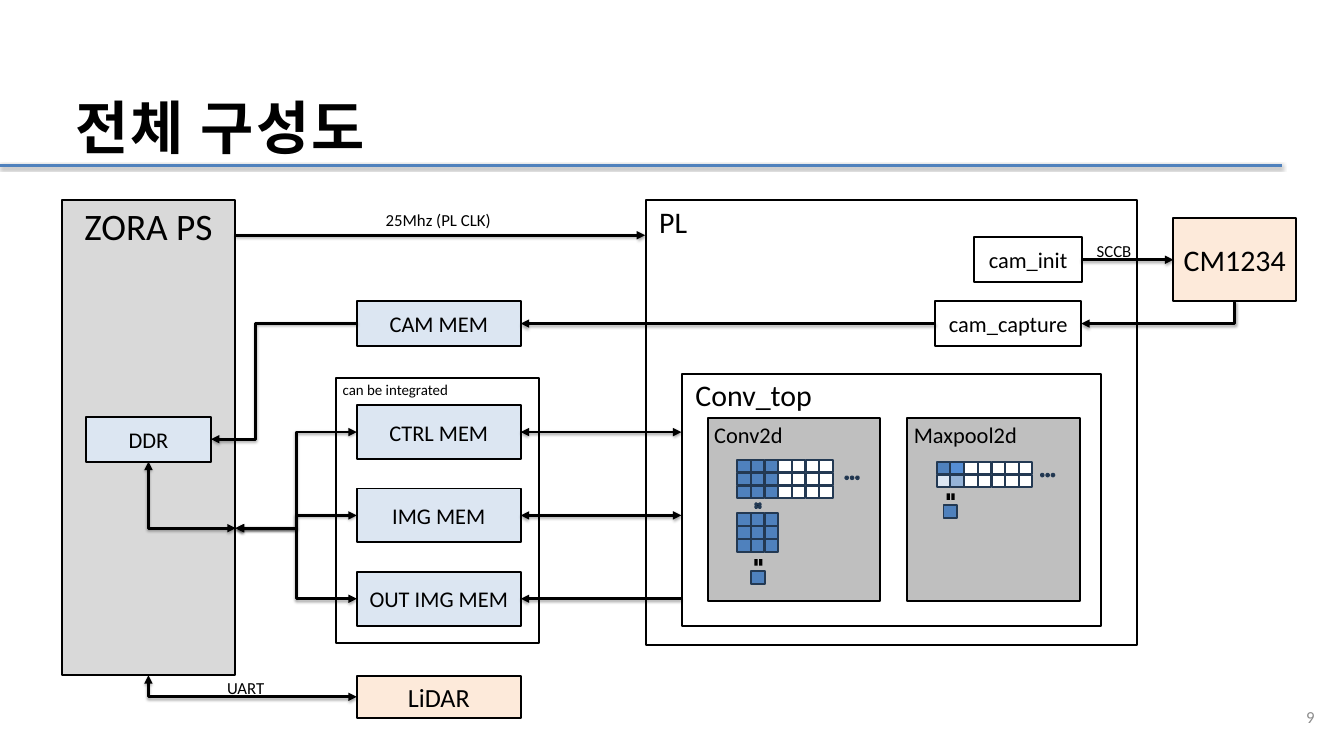
from dataclasses import dataclass

from lxml.etree import SubElement
from pptx import Presentation
from pptx.dml.color import RGBColor
from pptx.enum.shapes import MSO_CONNECTOR, MSO_SHAPE
from pptx.enum.text import MSO_ANCHOR, PP_ALIGN
from pptx.oxml.ns import qn
from pptx.util import Inches, Pt

TOP, LEFT, BOTTOM, RIGHT = range(4)  # connection sites of a rectangle


@dataclass(frozen=True)
class Theme:
    font: str = "Calibri"
    title_font: str = "Arial"
    black: str = "000000"
    white: str = "FFFFFF"
    muted: str = "8C8C8C"
    accent: str = "4F81BD"
    cell_line: str = "233953"
    processor: str = "D9D9D9"
    layer: str = "BFBFBF"
    memory: str = "DCE6F2"
    device: str = "FDEADA"
    pool_blue: str = "558ED5"
    pool_light: str = "95B3D7"
    title_size: int = 62
    huge: int = 40
    large: int = 32
    medium: int = 28
    body: int = 24
    label: int = 18
    note: int = 16
    outline: int = 2
    wire: int = 3


def color(value):
    return RGBColor.from_string(value)


def write_text(frame, text, size, font=Theme.font, fill=Theme.black, bold=False,
               align=PP_ALIGN.LEFT, anchor=MSO_ANCHOR.TOP, wrap=True):
    frame.word_wrap = wrap
    frame.vertical_anchor = anchor
    paragraph = frame.paragraphs[0]
    paragraph.alignment = align
    run = paragraph.add_run()
    run.text = text
    run.font.name = font
    run.font.size = Pt(size)
    run.font.bold = bold
    run.font.color.rgb = color(fill)
    return paragraph


class DiagramBuilder:
    def __init__(self, slide, theme):
        self.slide = slide
        self.theme = theme

    def title(self, text, left, top, width, height):
        shape = self.slide.shapes.title
        shape.left, shape.top = Inches(left), Inches(top)
        shape.width, shape.height = Inches(width), Inches(height)
        frame = shape.text_frame
        frame.margin_left = frame.margin_right = 0
        frame.margin_top = frame.margin_bottom = 0
        paragraph = write_text(frame, text, self.theme.title_size,
                               font=self.theme.title_font, bold=True)
        paragraph.line_spacing = Pt(86.9)
        paragraph.runs[0].font._element.set("spc", "220")

    def label(self, text, left, top, width, height=0.4, **text_format):
        box = self.slide.shapes.add_textbox(
            Inches(left), Inches(top), Inches(width), Inches(height))
        write_text(box.text_frame, text, self.theme.label, **text_format)

    def shape(self, left, top, width, height, fill=None, line=Theme.black,
              kind=MSO_SHAPE.RECTANGLE, parent=None):
        shape = (parent or self.slide).shapes.add_shape(
            kind, Inches(left), Inches(top), Inches(width), Inches(height))
        shape.shadow.inherit = False
        if fill:
            shape.fill.solid()
            shape.fill.fore_color.rgb = color(fill)
        else:
            shape.fill.background()
        if line:
            shape.line.color.rgb = color(line)
            shape.line.width = Pt(self.theme.outline)
        else:
            shape.line.fill.background()
        return shape

    def panel(self, text, size, left, top, width, height, fill=None, align=PP_ALIGN.LEFT):
        shape = self.shape(left, top, width, height, fill)
        write_text(shape.text_frame, text, size, align=align)
        return shape

    def block(self, text, left, top, width, height, fill=None, size=Theme.body):
        shape = self.shape(left, top, width, height, fill)
        write_text(shape.text_frame, text, size, align=PP_ALIGN.CENTER,
                   anchor=MSO_ANCHOR.MIDDLE)
        return shape

    def cells(self, parent, left, top, rows):
        """Draw a grid of cells, one fill colour per cell."""
        for row, fills in enumerate(rows):
            for column, fill in enumerate(fills):
                self.shape(left + 0.204 * column, top + 0.193 * row, 0.2, 0.19,
                           fill, self.theme.cell_line, parent=parent)

    def dots(self, parent, left, top):
        for index in range(3):
            self.shape(left + 0.08 * index, top, 0.04, 0.04, self.theme.black,
                       self.theme.cell_line, MSO_SHAPE.OVAL, parent)

    def equals(self, parent, left, top):
        sign = self.shape(left, top, 0.13, 0.2, self.theme.black, None,
                          MSO_SHAPE.MATH_EQUAL, parent)
        sign.rotation = 90

    def wire(self, start, end, begin=None, finish=None, arrows="end", bend=None,
             adjust=None, line=Theme.black):
        """Connect two points; begin and finish are (shape, site) pairs to join."""
        kind = MSO_CONNECTOR.ELBOW if bend else MSO_CONNECTOR.STRAIGHT
        connector = self.slide.shapes.add_connector(
            kind, *(Inches(value) for value in (*start, *end)))
        if begin:
            connector.begin_connect(*begin)
        if finish:
            connector.end_connect(*finish)
        connector.line.color.rgb = color(line)
        connector.line.width = Pt(self.theme.wire)
        properties = connector._element.spPr
        if bend:
            geometry = properties.find(qn("a:prstGeom"))
            geometry.set("prst", bend)
            if adjust:
                SubElement(geometry.find(qn("a:avLst")), qn("a:gd"),
                           name="adj1", fmla=f"val {adjust}")
        # Arrowheads
        outline = connector.line._get_or_add_ln()
        for tag, ends in (("a:headEnd", ("start", "both")), ("a:tailEnd", ("end", "both"))):
            if arrows in ends:
                SubElement(outline, qn(tag), type="triangle")
        # Soft shadow below the line
        effects = SubElement(properties, qn("a:effectLst"))
        shadow = SubElement(effects, qn("a:outerShdw"), blurRad=str(Pt(3.1)),
                            dist=str(Pt(1.8)), dir="5400000", rotWithShape="0")
        tint = SubElement(shadow, qn("a:srgbClr"), val=self.theme.black)
        SubElement(tint, qn("a:alpha"), val="35000")


def main():
    theme = Theme()
    presentation = Presentation()
    presentation.slide_width, presentation.slide_height = Inches(20), Inches(11.25)
    slide = presentation.slides.add_slide(presentation.slide_layouts[5])
    diagram = DiagramBuilder(slide, theme)

    # Title, rule and page number
    diagram.title("전체 구성도", 1.12, 1.19, 10.25, 1.14)
    diagram.wire((0, 2.46), (19.08, 2.46), arrows=None, line=theme.accent)
    diagram.label("9", 17.08, 10.38, 2.58, 0.57, fill=theme.muted,
                  align=PP_ALIGN.RIGHT, anchor=MSO_ANCHOR.MIDDLE)

    # Containers
    diagram.panel("can be integrated", theme.note, 5, 5.62, 3.02, 3.95)
    diagram.panel(" PL", theme.large, 9.61, 2.98, 7.31, 6.62)
    processor = diagram.panel("ZORA PS", theme.huge, 0.92, 2.98, 2.58, 7.07,
                              theme.processor, PP_ALIGN.CENTER)
    diagram.panel(" Conv_top", theme.large, 10.15, 5.56, 6.23, 3.75)
    for name, left in (("Conv2d", 10.53), ("Maxpool2d", 13.5)):
        diagram.panel(name, theme.body, left, 6.22, 2.57, 2.73, theme.layer)

    # Memories, camera and devices
    memories = [diagram.block(name, 5.31, 6.03 + 1.24 * row, 2.44, 0.8, theme.memory)
                for row, name in enumerate(("CTRL MEM", "IMG MEM", "OUT IMG MEM"))]
    camera_memory = diagram.block("CAM MEM", 5.31, 4.48, 2.44, 0.67, theme.memory)
    ddr = diagram.block("DDR", 1.28, 6.2, 1.86, 0.67, theme.memory)
    camera_init = diagram.block("cam_init", 14.5, 3.53, 1.6, 0.67)
    camera_capture = diagram.block("cam_capture", 13.92, 4.48, 2.17, 0.67)
    sensor = diagram.block("CM1234", 17.46, 3.25, 1.83, 1.23, theme.device, theme.large)
    lidar = diagram.block("LiDAR", 5.31, 10.06, 2.44, 0.62, theme.device, theme.medium)

    # Convolution: window times kernel gives one value
    blue, white = theme.accent, theme.white
    convolution = slide.shapes.add_group_shape()
    diagram.cells(convolution, 10.97, 6.84, [[blue] * 3 + [white] * 4] * 3)
    diagram.dots(convolution, 12.58, 7.09)
    diagram.shape(11.21, 7.47, 0.14, 0.11, theme.black, theme.cell_line,
                  MSO_SHAPE.MATH_MULTIPLY, convolution)
    diagram.cells(convolution, 10.97, 7.64, [[blue] * 3] * 3)
    diagram.equals(convolution, 11.22, 8.27)
    diagram.cells(convolution, 11.18, 8.5, [[blue]])

    # Pooling: four values give the largest
    pooling = slide.shapes.add_group_shape()
    diagram.cells(pooling, 13.94, 6.87, [[blue, theme.pool_blue] + [white] * 5,
                                         [theme.memory, theme.pool_light] + [white] * 5])
    diagram.dots(pooling, 15.49, 7.05)
    diagram.equals(pooling, 14.08, 7.29)
    diagram.cells(pooling, 14.04, 7.52, [[blue]])

    # Straight wires
    diagram.wire((3.5, 3.5), (9.6, 3.5))
    diagram.wire((16.1, 3.87), (17.46, 3.87), (camera_init, RIGHT), (sensor, LEFT))
    diagram.wire((13.92, 4.82), (7.75, 4.82), (camera_capture, LEFT), (camera_memory, RIGHT))
    for row, (memory, arrows) in enumerate(zip(memories, ("both", "both", "start"))):
        y = 6.43 + 1.24 * row
        diagram.wire((7.75, y), (10.14, y), (memory, RIGHT), arrows=arrows)
        # Branch from the processor to each memory
        diagram.wire((3.51, 7.86), (5.31, y), finish=(memory, LEFT), arrows="both",
                     bend="bentConnector3")

    # Bent wires
    diagram.wire((5.31, 4.82), (3.14, 6.54), (camera_memory, LEFT), (ddr, RIGHT),
                 bend="bentConnector3", adjust=69500)
    diagram.wire((16.09, 4.82), (18.38, 4.48), (camera_capture, RIGHT), (sensor, BOTTOM),
                 arrows="start", bend="bentConnector2")
    diagram.wire((5.31, 10.37), (2.21, 10.05), (lidar, LEFT), (processor, BOTTOM),
                 arrows="both", bend="bentConnector2")
    diagram.wire((3.51, 7.86), (2.21, 6.87), finish=(ddr, BOTTOM),
                 arrows="both", bend="bentConnector2")

    # Wire labels
    diagram.label("25Mhz (PL CLK)", 5.64, 3.07, 1.81)
    diagram.label("SCCB", 16.22, 3.53, 0.72, wrap=False)
    diagram.label("UART", 3.28, 10.04, 1.81)

    presentation.save("out.pptx")


if __name__ == "__main__":
    main()
